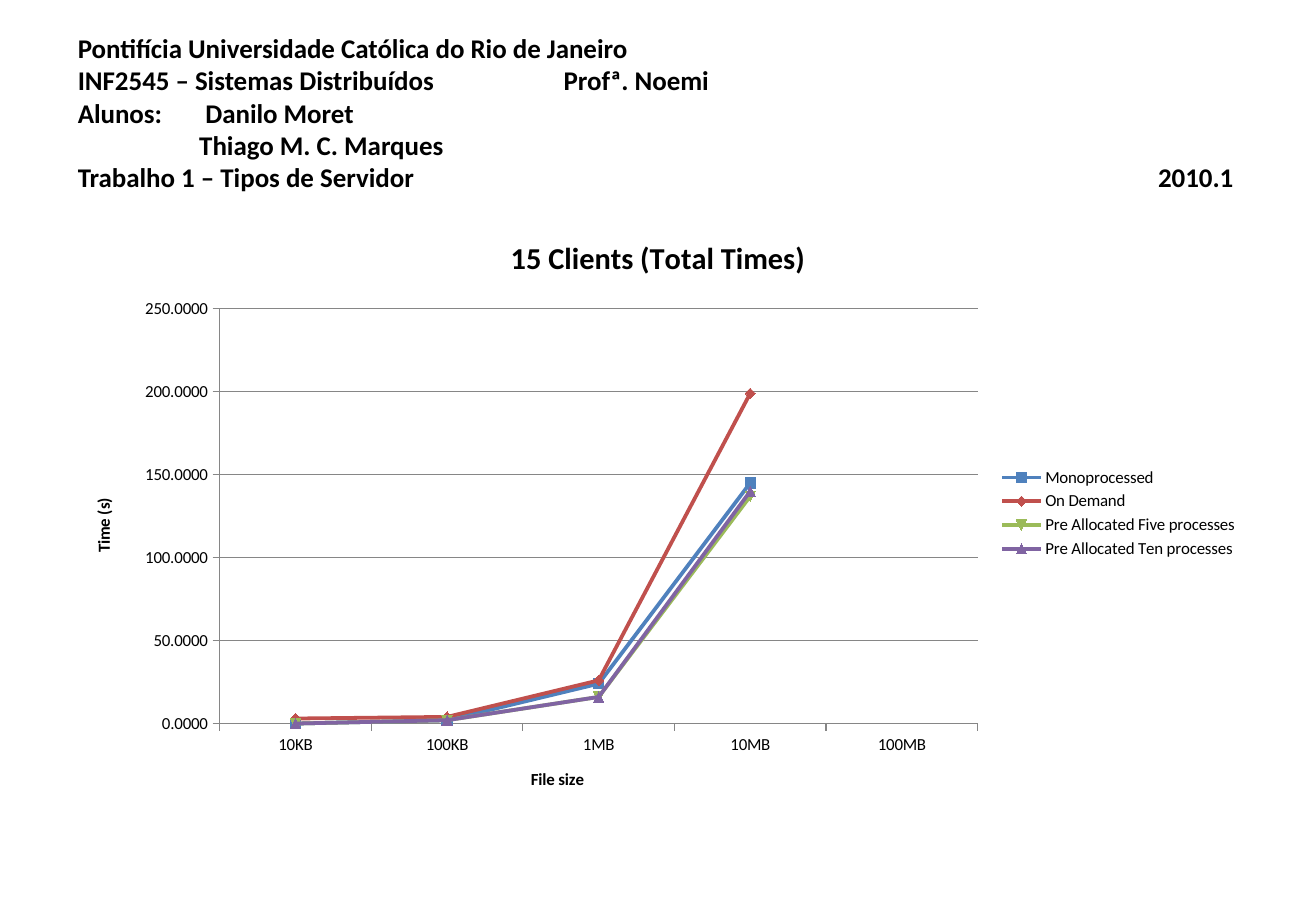
from lxml import etree
from pptx import Presentation
from pptx.chart.data import CategoryChartData
from pptx.dml.color import RGBColor
from pptx.enum.chart import XL_CHART_TYPE as ChartType, XL_LEGEND_POSITION as LegendPosition
from pptx.enum.chart import XL_TICK_MARK as TickMark
from pptx.enum.text import MSO_ANCHOR as Anchor
from pptx.oxml import parse_xml
from pptx.oxml.ns import nsdecls, qn
from pptx.util import Pt

COLORS = {
    "text": "000000",
    "grid": "868686",
    "Monoprocessed": "4F81BD",
    "On Demand": "C0504D",
    "Pre Allocated Five processes": "9BBB59",
    "Pre Allocated Ten processes": "8064A2",
}

# Each line with its tab stops: (position in points, alignment)
HEADER = [
    ("Pontifícia Universidade Católica do Rio de Janeiro", []),
    ("INF2545 – Sistemas Distribuídos\tProfª. Noemi", [(288, "l")]),
    ("Alunos:\t Danilo Moret", [(72, "l")]),
    ("\tThiago M. C. Marques", [(72, "l")]),
    ("Trabalho 1 – Tipos de Servidor\t2010.1", [(685, "r")]),
]

FILE_SIZES = ["10KB", "100KB", "1MB", "10MB", "100MB"]
TOTAL_TIMES = {
    "Monoprocessed": (0, 2, 24, 145, None),
    "On Demand": (3, 4, 26, 199, None),
    "Pre Allocated Five processes": (0, 2, 16, 137, None),
    "Pre Allocated Ten processes": (0, 2, 16, 140, None),
}


def color(name):
    return RGBColor.from_string(COLORS[name])


def manual_layout(x, y, w=None, h=None):
    """Chart layout element, in fractions of the chart area."""
    target = '<c:layoutTarget val="inner"/>' if w else ""
    size = f'<c:w val="{w}"/><c:h val="{h}"/>' if w else ""
    return parse_xml(
        f'<c:layout {nsdecls("c")}><c:manualLayout>{target}'
        f'<c:xMode val="edge"/><c:yMode val="edge"/>'
        f'<c:x val="{x}"/><c:y val="{y}"/>{size}</c:manualLayout></c:layout>')


class SlideBuilder:
    def __init__(self, slide, font_name):
        self.slide = slide
        self.font_name = font_name

    def style(self, font, size, bold=False):
        font.name = self.font_name
        font.size = Pt(size)
        font.bold = bold
        font.color.rgb = color("text")

    def header(self, lines, left, top, width, height):
        box = self.slide.shapes.add_textbox(Pt(left), Pt(top), Pt(width), Pt(height))
        frame = box.text_frame
        frame.word_wrap = True
        frame.vertical_anchor = Anchor.MIDDLE
        for number, (line, stops) in enumerate(lines):
            paragraph = frame.add_paragraph() if number else frame.paragraphs[0]
            paragraph.line_spacing = Pt(19.1)
            if stops:
                tabs = etree.SubElement(paragraph._p.get_or_add_pPr(), qn("a:tabLst"))
                for position, side in stops:
                    etree.SubElement(tabs, qn("a:tab"), pos=str(Pt(position)), algn=side)
            paragraph.text = line
            for run in paragraph.runs:
                self.style(run.font, 16, True)

    def chart_title(self, owner, title, size):
        """Title a chart or an axis."""
        frame = (owner.chart_title if hasattr(owner, "chart_title") else owner.axis_title).text_frame
        frame.text = title
        self.style(frame.paragraphs[0].runs[0].font, size, True)

    def axis(self, axis, title, x, y):
        self.chart_title(axis, title, 10)
        axis_title = axis.axis_title._element
        for old in axis_title.findall(qn("c:layout")):
            axis_title.remove(old)
        axis_title.find(qn("c:tx")).addnext(manual_layout(x, y))
        axis.major_tick_mark = TickMark.OUTSIDE
        axis.format.line.color.rgb = color("grid")
        axis.format.line.width = Pt(0.75)
        self.style(axis.tick_labels.font, 10)

    def line_chart(self, title, categories, values, left, top, width, height):
        data = CategoryChartData(number_format="0.0000")
        data.categories = categories
        for name, times in values.items():
            data.add_series(name, times)
        chart = self.slide.shapes.add_chart(
            ChartType.LINE_MARKERS, Pt(left), Pt(top), Pt(width), Pt(height), data).chart
        self.style(chart.font, 10)
        chart.has_title = True
        self.chart_title(chart, title, 18)
        chart.has_legend = True
        chart.legend.position = LegendPosition.RIGHT
        chart.legend.include_in_layout = False
        self.style(chart.legend.font, 10)

        self.axis(chart.category_axis, "File size", 0.39, 0.92)
        time_axis = chart.value_axis
        self.axis(time_axis, "Time (s)", 0.02, 0.47)
        time_axis.minimum_scale, time_axis.maximum_scale, time_axis.major_unit = 0, 250, 50
        time_axis.tick_labels.number_format = "0.0000"
        time_axis.tick_labels.number_format_is_linked = False
        time_axis.has_major_gridlines = True
        time_axis.major_gridlines.format.line.color.rgb = color("grid")
        time_axis.major_gridlines.format.line.width = Pt(0.75)

        plot = chart.plots[0]
        plot.vary_by_categories = False
        for series in plot.series:
            series.smooth = False
            series.format.line.color.rgb = color(series.name)
            series.format.line.width = Pt(2.25)
            series.marker.size = 6
            series.marker.format.fill.solid()
            series.marker.format.fill.fore_color.rgb = color(series.name)
            series.marker.format.line.color.rgb = color(series.name)

        plot_area = chart._chartSpace.chart.plotArea
        for old in plot_area.findall(qn("c:layout")):
            plot_area.remove(old)
        plot_area.insert(0, manual_layout(0.13, 0.16, 0.64, 0.69))


def main():
    deck = Presentation()
    deck.slide_width, deck.slide_height = Pt(780), Pt(540)
    builder = SlideBuilder(deck.slides.add_slide(deck.slide_layouts[6]), "Calibri")
    builder.header(HEADER, 39, 21.6, 702, 90)
    builder.line_chart("15 Clients (Total Times)", FILE_SIZES, TOTAL_TIMES, 39, 126, 702, 356.4)
    deck.save("out.pptx")


if __name__ == "__main__":
    main()
